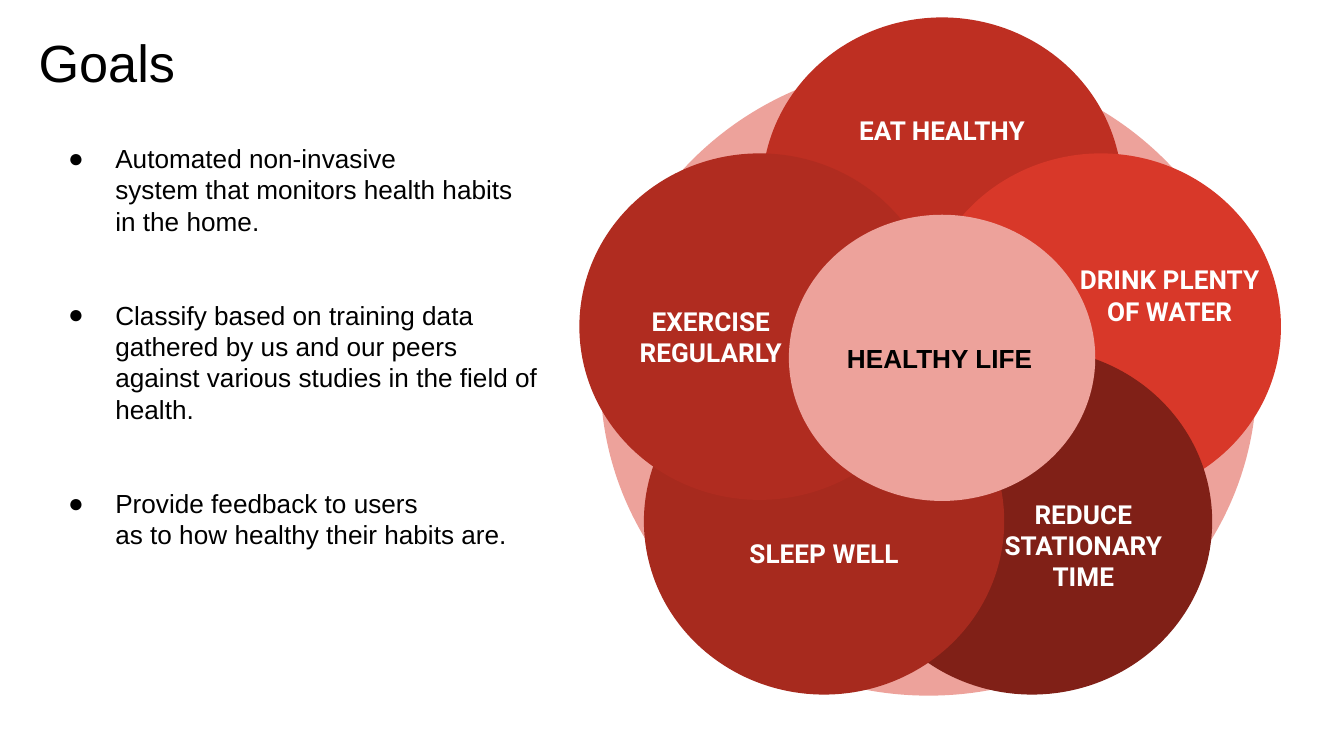
from dataclasses import dataclass
from typing import Any

from lxml import etree
from pptx import Presentation
from pptx import util as u
from pptx.dml.color import RGBColor
from pptx.enum import shapes, text
from pptx.oxml.ns import qn

WHITE = RGBColor(0xFF, 0xFF, 0xFF)
BLACK = RGBColor(0x00, 0x00, 0x00)
PINK = RGBColor(0xED, 0xA2, 0x9B)
BRICK = RGBColor(0xBE, 0x2F, 0x22)
SCARLET = RGBColor(0xD8, 0x38, 0x29)
MAROON = RGBColor(0x80, 0x20, 0x17)
RUST = RGBColor(0xA7, 0x2A, 0x1E)
CRIMSON = RGBColor(0xB0, 0x2C, 0x20)

PETAL_SIZE = (6.81, 6.55)
LABEL_SIZE = (4.17, 2.01)

# habit, colour, petal corner, label corner (cm)
HABITS = [
    ("EAT HEALTHY", BRICK, (14.4, 0.33), (15.72, 1.45)),
    ("DRINK PLENTY OF WATER", SCARLET, (17.4, 2.9), (20.02, 4.57)),
    ("REDUCE\nSTATIONARY TIME", MAROON, (16.1, 6.58), (18.39, 9.3)),
    ("SLEEP WELL", RUST, (12.17, 6.58), (13.49, 9.45)),
    ("EXERCISE REGULARLY", CRIMSON, (10.95, 2.9), (11.35, 5.36)),
]

# \v is a line break within a goal
GOALS = [
    "Automated non-invasive\vsystem that monitors health habits\vin the home.",
    "Classify based on training data\vgathered by us and our peers\v"
    "against various studies in the field of health.",
    "Provide feedback to users\vas to how healthy their habits are.",
]


def write(frame, words, *, size=14, font="Arial", color=BLACK, bold=False,
          align=text.PP_ALIGN.LEFT, anchor=text.MSO_ANCHOR.TOP):
    frame.word_wrap = True
    frame.auto_size = text.MSO_AUTO_SIZE.NONE
    frame.vertical_anchor = anchor
    frame.margin_left = frame.margin_right = u.Cm(0.25)
    frame.margin_top = frame.margin_bottom = u.Cm(0.25)
    frame.text = words
    for paragraph in frame.paragraphs:
        paragraph.alignment = align
        paragraph.line_spacing = u.Pt(1.2 * size)
        for run in paragraph.runs:
            run.font.name = font
            run.font.size = u.Pt(size)
            run.font.bold = bold
            run.font.color.rgb = color


def add_bullet(paragraph):
    """Give the paragraph a hanging round bullet."""
    properties = paragraph._p.get_or_add_pPr()
    properties.set("marL", str(u.Cm(1.27)))
    properties.set("indent", str(-u.Cm(0.89)))
    etree.SubElement(properties, qn("a:buFont"), typeface="Arial")
    etree.SubElement(properties, qn("a:buChar"), char="●")


@dataclass
class GoalsSlide:
    slide: Any
    label_font: str = "Roboto"

    def title(self, words, left, top, width, height):
        heading = self.slide.shapes.title
        heading.left, heading.top = u.Cm(left), u.Cm(top)
        heading.width, heading.height = u.Cm(width), u.Cm(height)
        write(heading.text_frame, words, size=28)

    def circle(self, fill, left, top, width, height):
        oval = self.slide.shapes.add_shape(
            shapes.MSO_SHAPE.OVAL, u.Cm(left), u.Cm(top), u.Cm(width), u.Cm(height))
        oval.shadow.inherit = False
        oval.fill.solid()
        oval.fill.fore_color.rgb = fill
        oval.line.fill.background()
        return oval

    def textbox(self, words, left, top, width, height, **style):
        box = self.slide.shapes.add_textbox(
            u.Cm(left), u.Cm(top), u.Cm(width), u.Cm(height))
        write(box.text_frame, words, **style)
        return box

    def petal(self, habit, fill, petal_corner, label_corner):
        self.circle(fill, *petal_corner, *PETAL_SIZE)
        self.textbox(habit, *label_corner, *LABEL_SIZE, font=self.label_font,
                     color=WHITE, bold=True, align=text.PP_ALIGN.CENTER,
                     anchor=text.MSO_ANCHOR.MIDDLE)

    def bullets(self, items, left, top, width, height):
        box = self.textbox("\n".join(items), left, top, width, height)
        for index, paragraph in enumerate(box.text_frame.paragraphs):
            if index:
                paragraph.space_before = u.Pt(33.6)
            add_bullet(paragraph)


def main():
    deck = Presentation()
    deck.slide_width, deck.slide_height = u.Cm(25.4), u.Cm(14.29)
    goals = GoalsSlide(deck.slides.add_slide(deck.slide_layouts[5]))

    goals.circle(PINK, 11.35, 1.19, 12.4, 11.96)
    for habit in HABITS:
        goals.petal(*habit)
    core = goals.circle(PINK, 14.91, 4.06, 5.79, 5.41)
    write(core.text_frame, "HEALTHY LIFE", bold=True,
          anchor=text.MSO_ANCHOR.MIDDLE)

    goals.title("Goals", 0.48, 0.33, 20.17, 2.36)
    goals.bullets(GOALS, 0.66, 2.44, 10.26, 8.13)
    deck.save("out.pptx")


if __name__ == "__main__":
    main()
